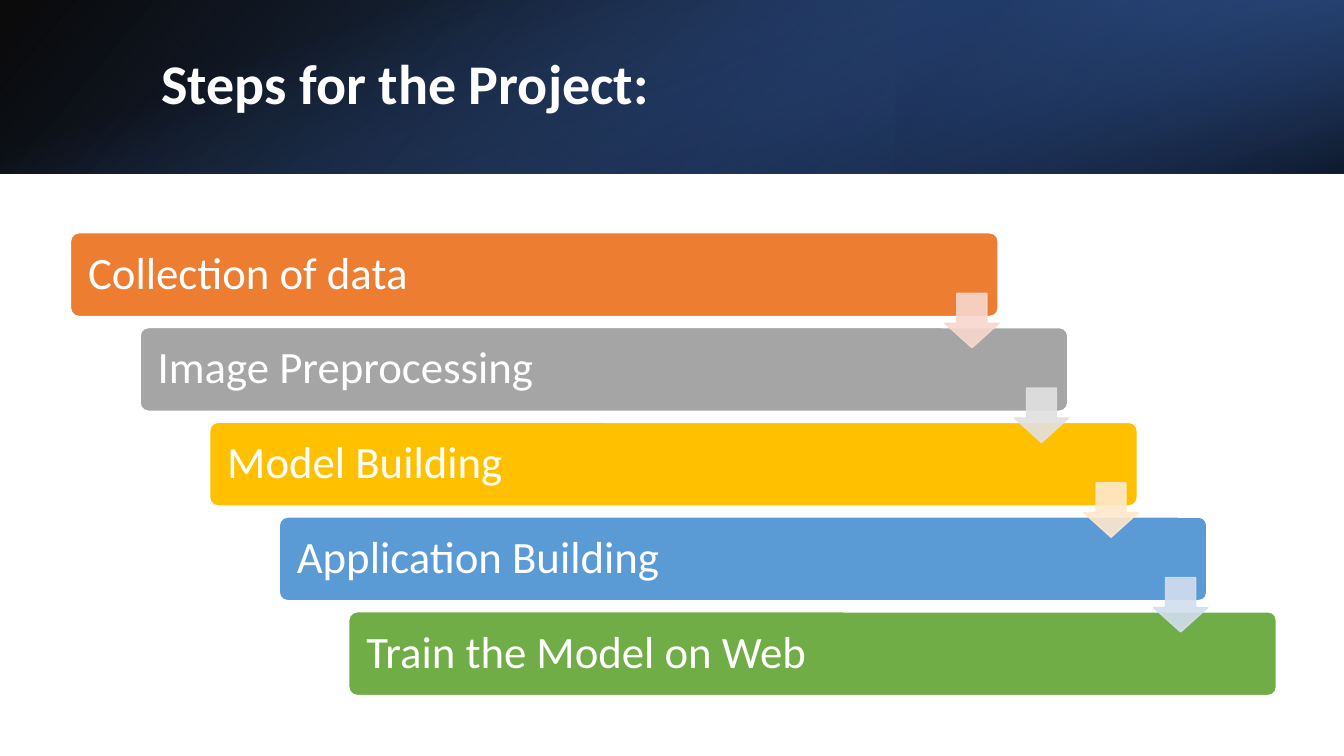
from pptx import Presentation
from pptx import util as u
from pptx.dml.color import RGBColor
from pptx.enum import shapes, text
from pptx.oxml.ns import qn
from lxml import etree

# Content: step, bar colour, colour of the arrow to the next step
TITLE = "Steps for the Project:"
STEPS = [
    ("Collection of data", "ED7D31", "F8D7CE"),
    ("Image Preprocessing", "A5A5A5", "E1E1E1"),
    ("Model Building", "FFC000", "FFE8CC"),
    ("Application Building", "5B9BD5", "D2DEEF"),
    ("Train the Model on Web", "70AD47", None),
]
THEME = dict(font="Calibri", ink="FFFFFF", title=40, step=32)

# Layout in inches
W, H = 13.33, 7.5
BAND = 1.72
BAR = dict(x=0.7, y=2.31, w=9.2, h=0.83)
STEP_X, STEP_Y = 0.69, 0.94
ARROW = dict(dx=8.67, dy=0.6, size=0.54)

# Header layers: box, rotation, flip, angle, stops (place, colour, opacity)
LAYERS = [
    ((0, 0, W, BAND), 0, True, 140,
     [(0, "000000", 96), (100, "2F5597", 100)]),
    ((W * 2 / 3, 0, W / 3, BAND), 180, True, 320,
     [(19, "203864", 68), (100, "4472C4", 79)]),
    (((W - BAND) / 2, (BAND - W) / 2, BAND, W), 90, False, 340,
     [(23, "4472C4", 0), (99, "000000", 74)]),
]

KIND = shapes.MSO_SHAPE
rgb = RGBColor.from_string
deck = Presentation()
deck.slide_width, deck.slide_height = u.Inches(W), u.Inches(H)
slide = deck.slides.add_slide(deck.slide_layouts[5])


def put(kind, box, adj=()):
    shape = slide.shapes.add_shape(kind, *map(u.Inches, box))
    shape.shadow.inherit = False
    for i, val in enumerate(adj):
        shape.adjustments[i] = val
    return shape


def paint(shape, fill, line):
    shape.fill.solid()
    shape.fill.fore_color.rgb = rgb(fill)
    shape.line.color.rgb = rgb(line)
    shape.line.width = u.Pt(1)


def fade(shape, shares):
    colors = shape._element.spPr.iter(qn("a:srgbClr"))
    for color, share in zip(list(colors), shares):
        etree.SubElement(color, qn("a:alpha"), val=str(share * 1000))


def write(shape, words, size, bold=False, **frame):
    tf = shape.text_frame
    form = dict(vertical_anchor=text.MSO_ANCHOR.MIDDLE, word_wrap=True)
    for key, val in {**form, **frame}.items():
        setattr(tf, key, val)
    tf.text = words
    para = tf.paragraphs[0]
    para.alignment, para.line_spacing = text.PP_ALIGN.LEFT, 0.9
    font = para.runs[0].font
    for key, val in dict(name=THEME["font"], size=u.Pt(size), bold=bold).items():
        setattr(font, key, val)
    font.color.rgb = rgb(THEME["ink"])


# Header band
for box, turn, flip, angle, stops in LAYERS:
    layer = put(KIND.RECTANGLE, box)
    layer.rotation = turn
    if flip:
        layer._element.spPr.xfrm.set("flipH", "1")
    layer.line.fill.background()
    layer.fill.gradient()
    layer.fill.gradient_angle = 360 - angle
    for stop, (place, color, _) in zip(layer.fill.gradient_stops, stops):
        stop.position, stop.color.rgb = place / 100, rgb(color)
    fade(layer, [share for _, _, share in stops])

# Title, raised above the band
title = slide.shapes.title
for key, val in dict(left=1.5, top=0.38, width=10.98, height=0.96).items():
    setattr(title, key, u.Inches(val))
write(title, TITLE, THEME["title"], bold=True)
slide.shapes._spTree.append(title._element)

# Staircase of bars
spots = [(BAR["x"] + i * STEP_X, BAR["y"] + i * STEP_Y) for i in range(len(STEPS))]
for (x, y), (words, color, _) in zip(spots, STEPS):
    bar = put(KIND.ROUNDED_RECTANGLE, (x, y, BAR["w"], BAR["h"]), [0.1])
    paint(bar, color, THEME["ink"])
    write(bar, words, THEME["step"], margin_left=u.Inches(0.15))

# Arrows between neighbouring bars
for (x, y), (_, _, color) in zip(spots, STEPS):
    if color:
        size = ARROW["size"]
        arrow = put(KIND.DOWN_ARROW,
                    (x + ARROW["dx"], y + ARROW["dy"], size, size), [0.55, 0.45])
        paint(arrow, color, color)
        fade(arrow, [90, 90])

deck.save("out.pptx")
